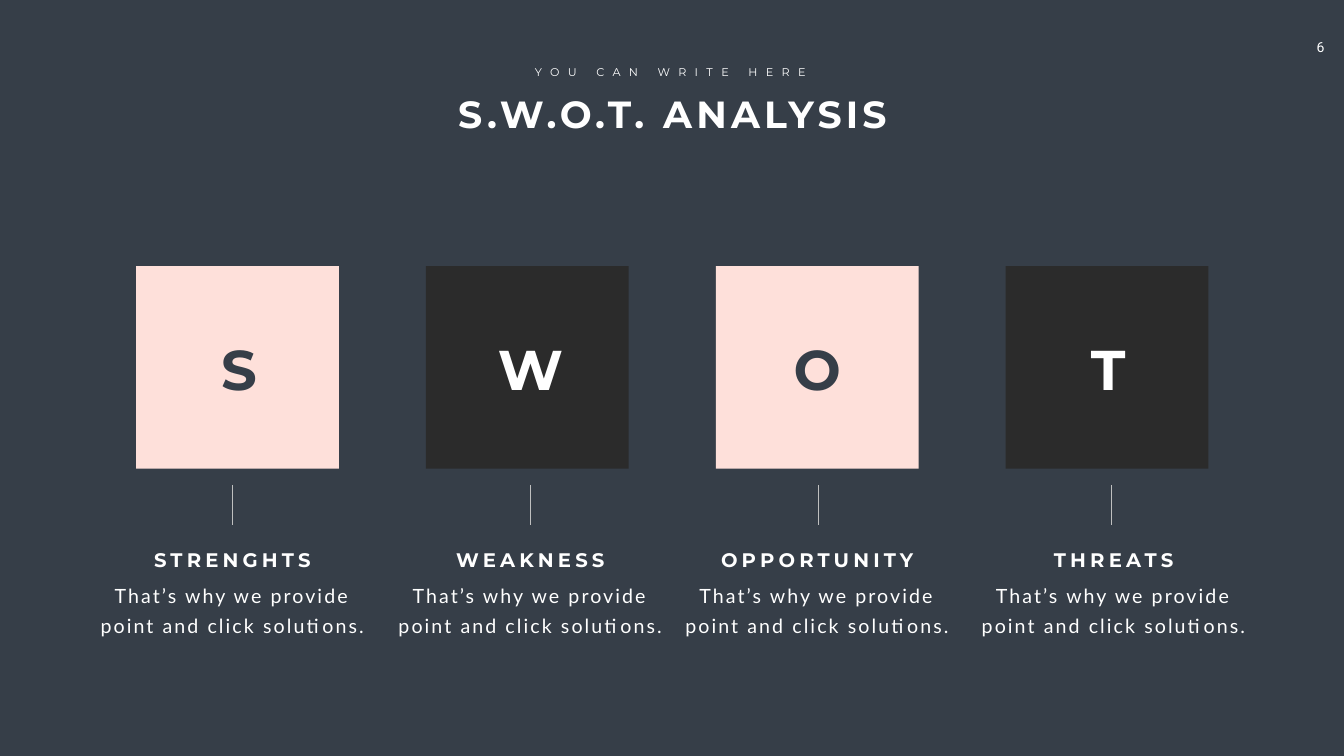
import pptx
import pptx.dml.color
import pptx.enum.shapes
import pptx.enum.text
import pptx.oxml.ns
import pptx.util
from lxml import etree

Inches = pptx.util.Inches
Pt = pptx.util.Pt
RGBColor = pptx.dml.color.RGBColor

SLATE = RGBColor(0x36, 0x3E, 0x48)
PINK = RGBColor(0xFE, 0xE0, 0xDA)
CHARCOAL = RGBColor(0x2B, 0x2B, 0x2B)
WHITE = RGBColor(0xFF, 0xFF, 0xFF)
GREY = RGBColor(0xBF, 0xBF, 0xBF)

HEADING_FONT = "Montserrat"
BODY_FONT = "Lato"
NUMBER_FONT = "Roboto"

SQUARE_LEFT, SQUARE_TOP, SQUARE_SIDE = 2.7, 5.28, 4.02
SQUARE_STEP = 5.75
DESCRIPTION = "That’s why we provide point and click solutions."

# letter, letter centre, letter width, line x, heading, text centre
COLUMNS = [
    ("S", 4.74, 1.0, 4.61, "STRENGHTS", 4.61),
    ("W", 10.52, 1.59, 10.51, "WEAKNESS", 10.52),
    ("O", 16.21, 1.23, 16.23, "OPPORTUNITY", 16.21),
    ("T", 21.98, 0.98, 22.04, "THREATS", 22.09),
]


class SlideBuilder:
    def __init__(self, page):
        self.page = page
        page.background.fill.solid()
        page.background.fill.fore_color.rgb = SLATE

    def fill_text(self, box, text, size, font=HEADING_FONT, color=WHITE,
                  bold=False, tracking=0, leading=None, wrap=False):
        """Fill a box with one centred paragraph; tracking is in points."""
        frame = box.text_frame
        frame.word_wrap = wrap
        frame.auto_size = pptx.enum.text.MSO_AUTO_SIZE.SHAPE_TO_FIT_TEXT
        frame.vertical_anchor = pptx.enum.text.MSO_ANCHOR.TOP
        para = frame.paragraphs[0]
        para.alignment = pptx.enum.text.PP_ALIGN.CENTER
        para.space_before = Pt(0)
        para.line_spacing = Pt(leading) if leading else 1.0
        span = para.add_run()
        span.text = text
        span.font.size = Pt(size)
        span.font.name = font
        span.font.bold = bold
        span.font.color.rgb = color
        if tracking:
            span.font._element.set("spc", str(tracking * 100))

    def title(self, left, top, width, height, text, **style):
        box = self.page.shapes.title
        box.left, box.top = Inches(left), Inches(top)
        box.width, box.height = Inches(width), Inches(height)
        self.fill_text(box, text, **style)

    def text(self, left, top, width, height, text, **style):
        box = self.page.shapes.add_textbox(
            Inches(left), Inches(top), Inches(width), Inches(height))
        self.fill_text(box, text, **style)
        return box

    def centred_text(self, centre, top, width, height, text, **style):
        return self.text(centre - width / 2, top, width, height, text, **style)

    def square(self, left, top, side, color):
        shape = self.page.shapes.add_shape(
            pptx.enum.shapes.MSO_SHAPE.RECTANGLE,
            Inches(left), Inches(top), Inches(side), Inches(side))
        shape.shadow.inherit = False
        shape.fill.solid()
        shape.fill.fore_color.rgb = color
        shape.line.fill.background()

    def vertical_line(self, x, top, bottom):
        line = self.page.shapes.add_connector(
            pptx.enum.shapes.MSO_CONNECTOR.STRAIGHT,
            Inches(x), Inches(top), Inches(x), Inches(bottom))
        line.line.color.rgb = GREY
        line.line.width = Pt(0.5)
        etree.SubElement(line._element.spPr, pptx.oxml.ns.qn("a:effectLst"))


def main():
    deck = pptx.Presentation()
    deck.slide_width, deck.slide_height = Inches(26.66), Inches(15)
    title_only = deck.slide_layouts[5]
    slide = SlideBuilder(deck.slides.add_slide(title_only))

    number = slide.text(25.69, 0.67, 1.01, 0.54, "6", size=20,
                        font=NUMBER_FONT, wrap=True)
    frame = number.text_frame
    frame.margin_left = frame.margin_right = Inches(0.2)
    frame.margin_top = frame.margin_bottom = Inches(0.1)

    slide.title(8.81, 1.74, 9.07, 1.01, "S.W.O.T. ANALYSIS",
                size=54, bold=True, tracking=6)
    slide.text(10.41, 1.24, 5.78, 0.37, "YOU CAN WRITE HERE",
               size=16, tracking=12)

    for index, column in enumerate(COLUMNS):
        letter, letter_centre, letter_width, line_x, heading, centre = column
        fill, ink = ((PINK, SLATE), (CHARCOAL, WHITE))[index % 2]
        slide.square(SQUARE_LEFT + index * SQUARE_STEP, SQUARE_TOP,
                     SQUARE_SIDE, fill)
        slide.centred_text(letter_centre, 6.59, letter_width, 1.45, letter,
                           size=80, color=ink, bold=True, tracking=6)
        slide.vertical_line(line_x, 9.62, 10.41)
        slide.centred_text(centre, 10.83, 4.41, 0.57, heading,
                           size=28, bold=True, tracking=6, wrap=True)
        slide.centred_text(centre, 11.4, 5.87, 1.25, DESCRIPTION, size=28,
                           font=BODY_FONT, tracking=3, leading=43, wrap=True)

    deck.save("out.pptx")


if __name__ == "__main__":
    main()
